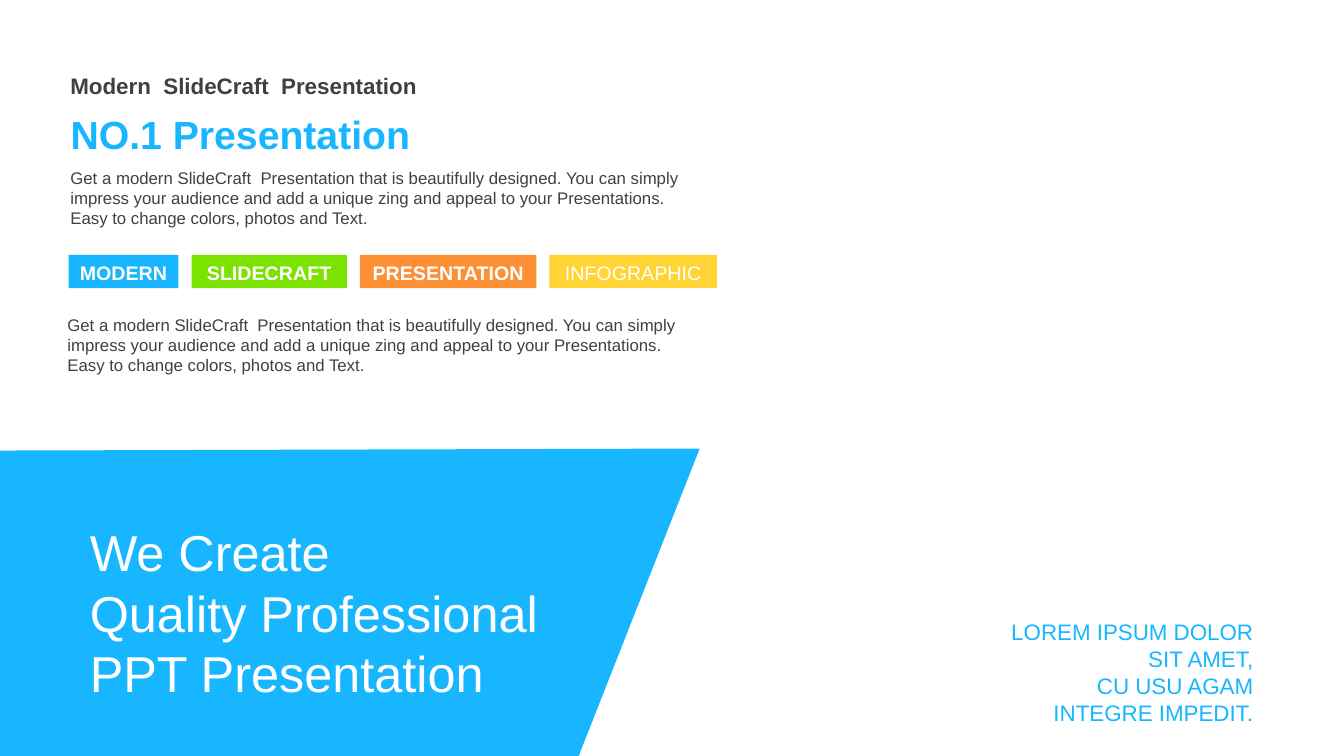
from pptx import Presentation
from pptx.dml.color import RGBColor
from pptx.enum.shapes import MSO_SHAPE
from pptx.enum.text import MSO_ANCHOR, MSO_AUTO_SIZE, PP_ALIGN
from pptx.util import Inches, Pt

FONT = "Arial"
COLORS = {
    "blue": "17B6FF",
    "green": "7CE200",
    "orange": "FD9034",
    "yellow": "FFD434",
    "gray": "404040",
    "white": "FFFFFF",
}
BLURB = (
    "Get a modern SlideCraft  Presentation that is beautifully designed. "
    "You can simply impress your audience and add a unique zing and appeal "
    "to your Presentations. Easy to change colors, photos and Text."
)
# Label, fill, width, bold
TAGS = [
    ("MODERN", "blue", 1.09, True),
    ("SLIDECRAFT", "green", 1.54, True),
    ("PRESENTATION", "orange", 1.75, True),
    ("INFOGRAPHIC", "yellow", 1.66, False),
]
TAG_GAP = 0.13


def get_color(name):
    return RGBColor.from_string(COLORS[name])


def paint(shape, color):
    shape.shadow.inherit = False
    shape.fill.solid()
    shape.fill.fore_color.rgb = get_color(color)
    shape.line.fill.background()


def set_text(shape, text, size, color, bold=False, align=PP_ALIGN.LEFT,
             anchor=MSO_ANCHOR.TOP):
    frame = shape.text_frame
    frame.text = text
    frame.word_wrap = True
    frame.auto_size = MSO_AUTO_SIZE.NONE
    frame.vertical_anchor = anchor
    for para in frame.paragraphs:
        para.alignment = align
        for run in para.runs:
            run.font.name = FONT
            run.font.size = Pt(size)
            run.font.bold = bold
            run.font.color.rgb = get_color(color)
    return frame


def add_text(slide, box, text, size, color, **style):
    shape = slide.shapes.add_textbox(*map(Inches, box))
    return set_text(shape, text, size, color, **style)


def add_title(slide, box, text):
    title = slide.shapes.title
    title.left, title.top, title.width, title.height = map(Inches, box)
    set_text(title, text, 28, "blue", bold=True)


def add_panel(slide):
    start, *rest = [(Inches(x), Inches(y)) for x, y in
                    [(0, 4.47), (6.94, 4.45), (5.74, 7.5), (0, 7.5)]]
    outline = slide.shapes.build_freeform(*start)
    outline.add_line_segments(rest, close=True)
    paint(outline.convert_to_shape(), "blue")


def add_tag(slide, left, label, color, width, bold):
    tag = slide.shapes.add_shape(MSO_SHAPE.RECTANGLE, Inches(left),
                                 Inches(2.53), Inches(width), Inches(0.33))
    paint(tag, color)
    frame = set_text(tag, label, 14, "white", bold=bold,
                     align=PP_ALIGN.CENTER, anchor=MSO_ANCHOR.MIDDLE)
    frame.margin_top = Inches(0.1)
    frame.paragraphs[0].line_spacing = 0.9


def main():
    deck = Presentation()
    deck.slide_width, deck.slide_height = Inches(13.33), Inches(7.5)
    slide = deck.slides.add_slide(deck.slide_layouts[5])

    # Blue panel with its slogan
    add_panel(slide)
    slogan = add_text(slide, (0.85, 5.16, 5.22, 1.82),
                      "We Create\nQuality Professional\nPPT Presentation",
                      36, "white", anchor=MSO_ANCHOR.MIDDLE)
    slogan.margin_left = slogan.margin_right = Inches(0.04)
    slogan.margin_top = slogan.margin_bottom = 0

    # Headings and body text
    add_text(slide, (0.6, 0.67, 6.44, 0.37),
             "Modern  SlideCraft  Presentation", 16, "gray", bold=True)
    add_title(slide, (0.6, 1.04, 6.44, 0.57), "NO.1 Presentation")
    for left, top in [(0.6, 1.61), (0.57, 3.07)]:
        add_text(slide, (left, top, 6.44, 0.71), BLURB, 12, "gray")

    # Row of colored tags
    left = 0.68
    for label, color, width, bold in TAGS:
        add_tag(slide, left, label, color, width, bold)
        left += width + TAG_GAP

    # Closing note
    add_text(slide, (9.83, 6.08, 2.7, 1.18),
             "LOREM IPSUM DOLOR SIT AMET,\nCU USU AGAM INTEGRE IMPEDIT.",
             16, "blue", align=PP_ALIGN.RIGHT, anchor=MSO_ANCHOR.MIDDLE)

    deck.save("out.pptx")


if __name__ == "__main__":
    main()
